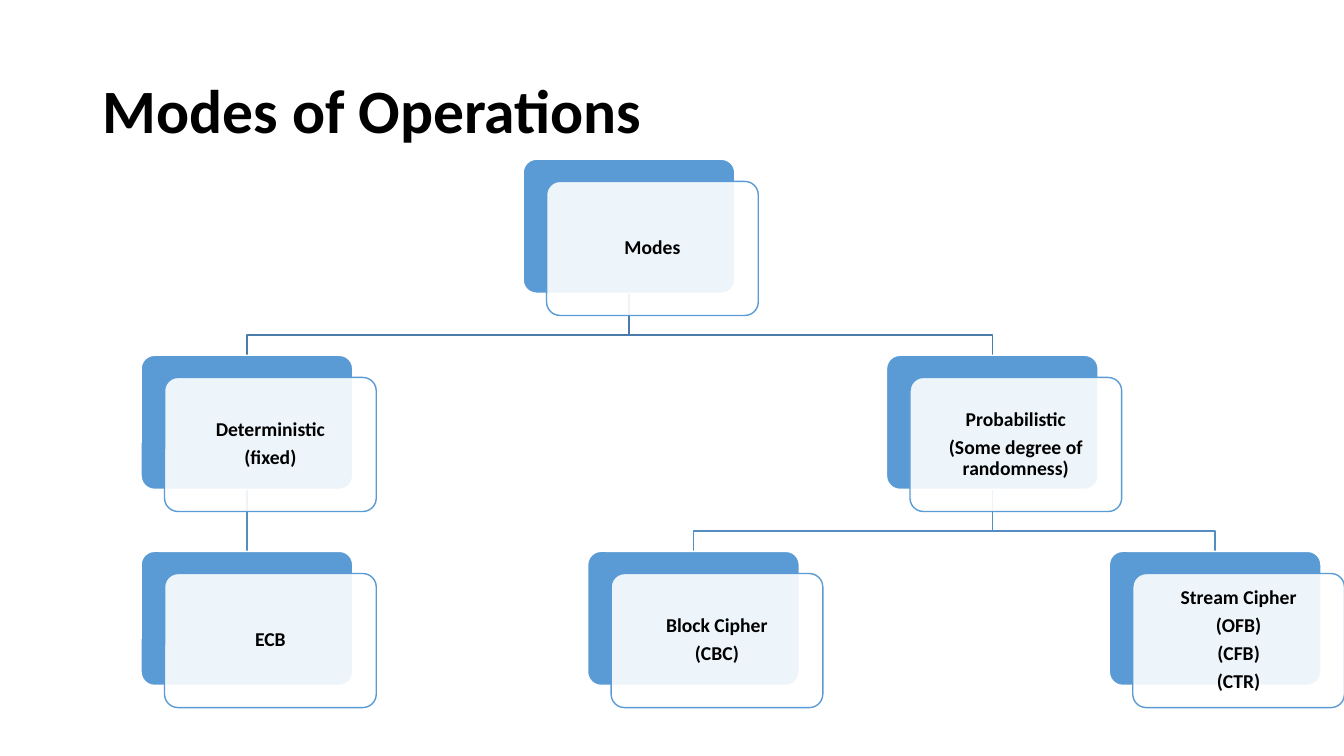
from dataclasses import dataclass

from lxml import etree
from pptx import Presentation, util as u
from pptx.dml.color import RGBColor
from pptx.enum import shapes, text
from pptx.oxml.ns import qn


@dataclass(frozen=True)
class Theme:
    font: str = "Calibri"
    ink: str = "000000"
    paper: str = "FFFFFF"
    accent: str = "5B9BD5"
    upper_link: str = "497CAB"
    lower_link: str = "538DC1"
    title_size: float = 44
    label_size: float = 14
    line_width: float = 1
    line_spacing: float = 0.9
    label_gap: float = 4.9


# The grid has square cells of a tenth of an inch.
COLS, ROWS = 133.33, 75
CARD_W, CARD_H = 21, 13.3
SHIFT_X, SHIFT_Y = 2.33, 2.2
TOP_ROW, LEVEL_STEP = 15.8, 19.45
ELBOW_RISE = 2

# name: (column, level, parent, lines)
MODES = {
    "modes": (51.9, 0, None, ["Modes"]),
    "deterministic": (14, 1, "modes", ["Deterministic", "(fixed)"]),
    "ecb": (14, 2, "deterministic", ["ECB"]),
    "probabilistic": (87.95, 1, "modes",
                      ["Probabilistic", "(Some degree of randomness)"]),
    "block": (58.3, 2, "probabilistic", ["Block Cipher", "(CBC)"]),
    "stream": (110.05, 2, "probabilistic",
               ["Stream Cipher", "(OFB)", "(CFB)", "(CTR)"]),
}


def cells(n):
    return u.Inches(n / 10)


def rgb(colour):
    return RGBColor.from_string(colour)


def write(sp, lines, *, font, size, colour, align, spacing, gap=0, inset=None):
    tf = sp.text_frame
    tf.word_wrap = True
    tf.vertical_anchor = text.MSO_ANCHOR.MIDDLE
    if inset is not None:
        tf.margin_left = tf.margin_right = cells(inset)
        tf.margin_top = tf.margin_bottom = cells(inset)
    for i, line in enumerate(lines):
        p = tf.add_paragraph() if i else tf.paragraphs[0]
        p.alignment = align
        p.line_spacing = spacing
        p.space_after = u.Pt(gap)
        r = p.add_run()
        r.text = line
        r.font.name, r.font.size, r.font.bold = font, u.Pt(size), True
        r.font.color.rgb = rgb(colour)


class Tree:
    def __init__(self, prs, theme):
        self.theme = theme
        self.s = prs.slides.add_slide(prs.slide_layouts[6])

    def outline(self, sp, colour):
        sp.line.color.rgb = rgb(colour)
        sp.line.width = u.Pt(self.theme.line_width)

    def title(self, words):
        t = self.theme
        sp = self.s.shapes.add_textbox(*map(cells, (9.2, 4, 115, 14.5)))
        write(sp, [words], font=t.font, size=t.title_size, colour=t.ink,
              align=text.PP_ALIGN.LEFT, spacing=t.line_spacing)

    def panel(self, col, row, fill, line, opacity=100):
        sp = self.s.shapes.add_shape(
            shapes.MSO_SHAPE.ROUNDED_RECTANGLE,
            *map(cells, (col, row, CARD_W, CARD_H)))
        sp.shadow.inherit = False
        sp.adjustments[0] = 0.1
        sp.fill.solid()
        sp.fill.fore_color.rgb = rgb(fill)
        if opacity < 100:
            clr = sp.fill._xPr.find(qn("a:solidFill"))[0]
            etree.SubElement(clr, qn("a:alpha"), val=str(opacity * 1000))
        self.outline(sp, line)
        return sp

    def card(self, col, level, lines):
        """Draw a solid panel with a translucent labelled one shifted over it."""
        t = self.theme
        row = TOP_ROW + level * LEVEL_STEP
        self.panel(col, row, t.accent, t.paper)
        front = self.panel(col + SHIFT_X, row + SHIFT_Y, t.paper, t.accent, 90)
        write(front, lines, font=t.font, size=t.label_size, colour=t.ink,
              align=text.PP_ALIGN.CENTER, spacing=t.line_spacing,
              gap=t.label_gap, inset=0.6)

    def link(self, parent_col, child_col, child_level):
        t = self.theme
        x1, x2 = (cells(c + CARD_W / 2) for c in (parent_col, child_col))
        child_top = TOP_ROW + child_level * LEVEL_STEP
        y1 = cells(child_top - LEVEL_STEP + CARD_H)
        mid, y2 = cells(child_top - ELBOW_RISE), cells(child_top)
        if x1 == x2:
            sp = self.s.shapes.add_connector(
                shapes.MSO_CONNECTOR.STRAIGHT, x1, y1, x2, y2)
            etree.SubElement(sp._element.spPr, qn("a:effectLst"))
        else:
            path = self.s.shapes.build_freeform(x1, y1)
            path.add_line_segments([(x1, mid), (x2, mid), (x2, y2)], close=False)
            sp = path.convert_to_shape()
            sp.shadow.inherit = False
            sp.fill.background()
        self.outline(sp, t.upper_link if child_level == 1 else t.lower_link)


def main():
    prs = Presentation()
    prs.slide_width, prs.slide_height = cells(COLS), cells(ROWS)
    tree = Tree(prs, Theme())
    tree.title("Modes of Operations")
    for col, level, parent, _ in MODES.values():
        if parent:
            tree.link(MODES[parent][0], col, level)
    for col, level, _, lines in MODES.values():
        tree.card(col, level, lines)
    prs.save("out.pptx")


if __name__ == "__main__":
    main()
